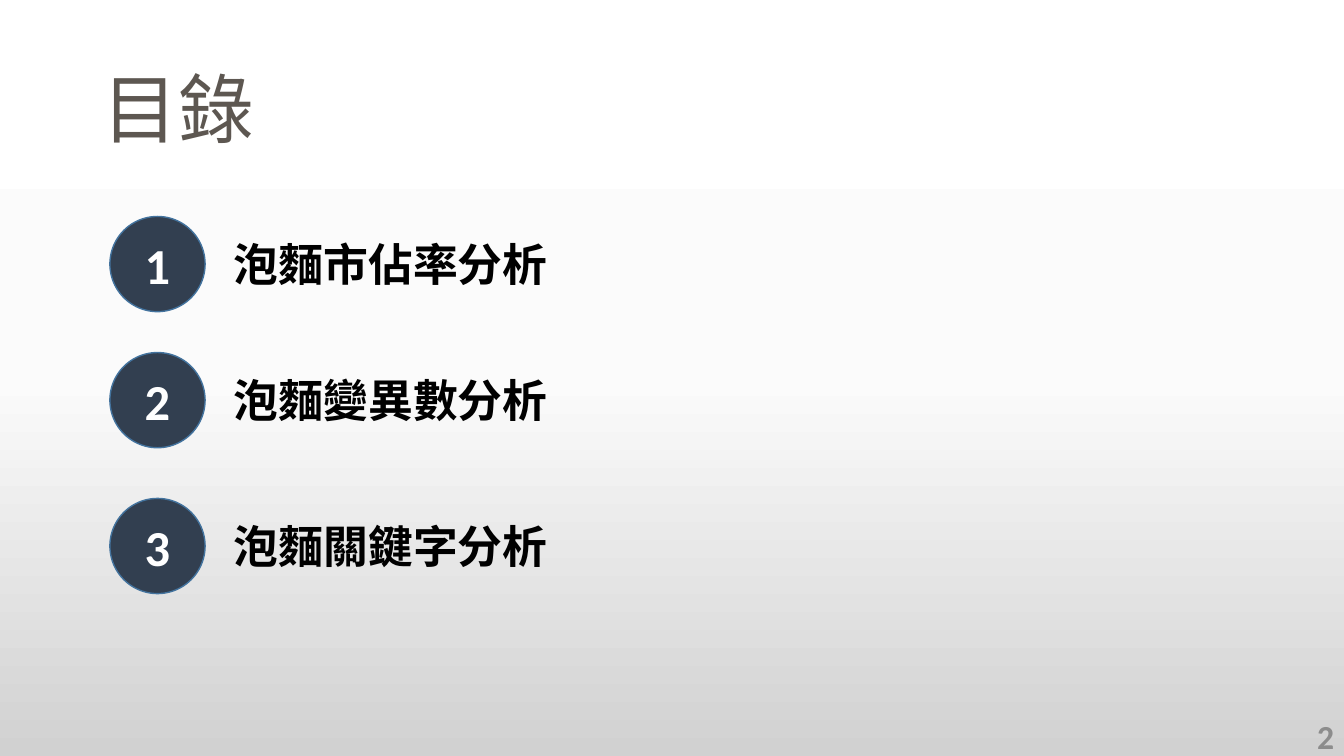
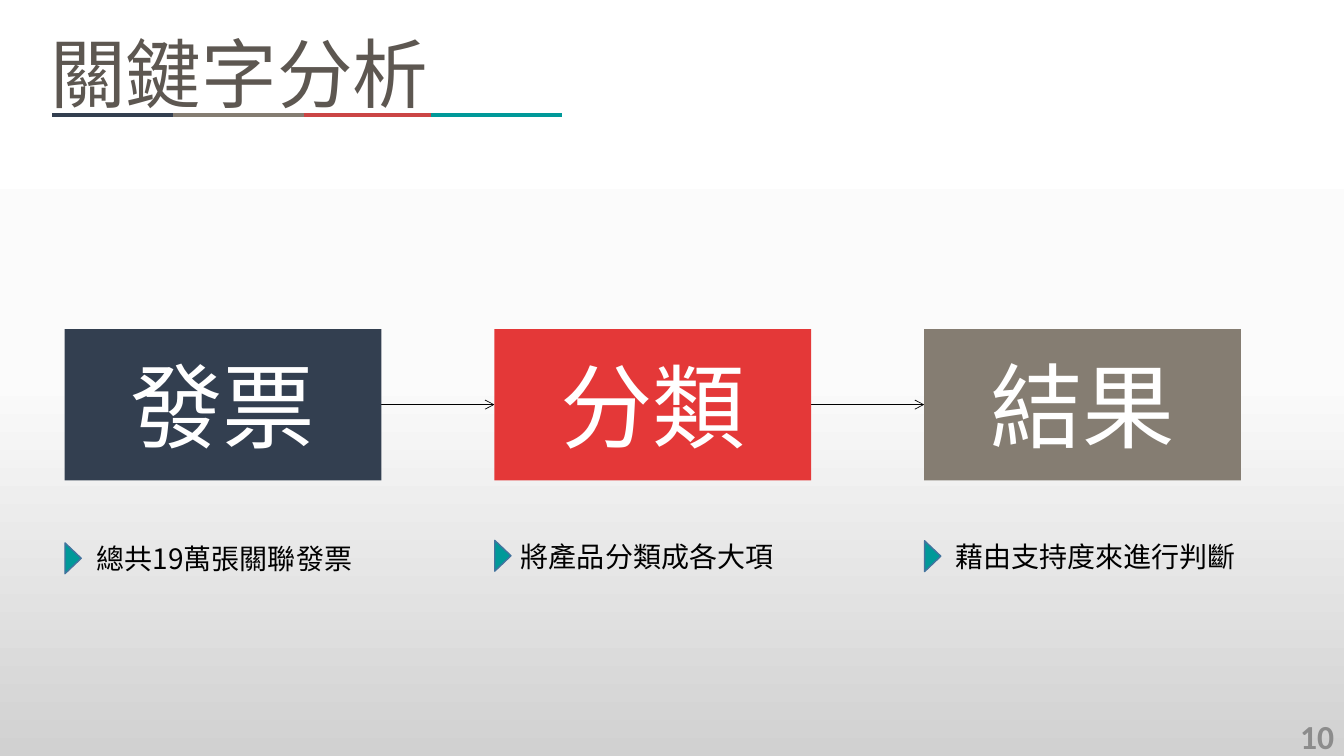
from copy import deepcopy
from pptx import Presentation
from pptx.dml.color import RGBColor
from pptx.enum.shapes import MSO_CONNECTOR, MSO_SHAPE
from pptx.enum.text import MSO_ANCHOR, PP_ALIGN
from pptx.oxml.ns import qn
from pptx.util import Pt
from lxml.etree import SubElement

HEX = {
    "white": "FFFFFF", "pale": "FBFBFB", "grey": "D1D1D1",
    "title": "5D5751", "page": "8C8C8C", "black": "000000",
    "disc": "323F50", "edge": "43739E", "navy": "333F50",
    "tan": "857D72", "rose": "CB4545", "red": "E43838", "teal": "009999",
}
RGB = {name: RGBColor.from_string(code) for name, code in HEX.items()}
SANS, TRAD, LATIN = "Noto Sans CJK SC", "Noto Sans CJK TC", "Calibri"
TITLE = dict(size=54, color="title")


def write(shape, text, size, color, font=SANS, bold=False,
          align=PP_ALIGN.LEFT, anchor=MSO_ANCHOR.TOP):
    """Set one paragraph, with the font for both Latin and East Asian text."""
    frame = shape.text_frame
    frame.word_wrap = True
    frame.vertical_anchor = anchor
    para = frame.paragraphs[0]
    para.text = text
    para.alignment = align
    para.font.size = Pt(size)
    para.font.bold = bold
    para.font.color.rgb = RGB[color]
    para.font.name = font
    props = para._p.pPr.find(qn("a:defRPr"))
    SubElement(props, qn("a:ea")).set("typeface", font)
    return para


def draw(slide, kind, box, fill, edge=None):
    shape = slide.shapes.add_shape(kind, *map(Pt, box))
    shape.shadow.inherit = False
    shape.fill.solid()
    shape.fill.fore_color.rgb = RGB[fill]
    if edge:
        shape.line.color.rgb = RGB[edge]
        shape.line.width = Pt(1)
    else:
        shape.line.fill.background()
    return shape


deck = Presentation()
deck.slide_width, deck.slide_height = Pt(960), Pt(540)
blank = deck.slide_layouts[6]
mid = dict(align=PP_ALIGN.CENTER, anchor=MSO_ANCHOR.MIDDLE)

# Shared background
master = deck.slide_master
back = master.background.fill
back.gradient()
back.gradient_angle = 270
stops = master.element.find(".//" + qn("a:gsLst"))
stops.append(deepcopy(stops[0]))
shades = [(0, "white"), (0.5, "pale"), (1, "grey")]
for stop, (place, shade) in zip(back.gradient_stops, shades):
    stop.position = place
    stop.color.rgb = RGB[shade]

# Contents
toc = deck.slides.add_slide(blank)
head = toc.shapes.add_textbox(Pt(66.2), Pt(28.8), Pt(828), Pt(104.4))
write(head, "目錄", **TITLE, anchor=MSO_ANCHOR.MIDDLE).line_spacing = 0.9
topics = [(154.6, "泡麵市佔率分析"), (251.8, "泡麵變異數分析"),
          (356, "泡麵關鍵字分析")]
for num, (top, topic) in enumerate(topics, 1):
    disc = draw(toc, MSO_SHAPE.OVAL, (78.5, top, 68, 68), "disc", "edge")
    write(disc, str(num), 36, "white", LATIN, True, **mid)
    label = toc.shapes.add_textbox(Pt(160), Pt(top + 11), Pt(446), Pt(46))
    write(label, topic, 32, "black", bold=True)

# Keyword analysis
flow = deck.slides.add_slide(blank)
left, top, wide, high, step = 46.2, 235.2, 226.2, 108, 307
rule, axis = 82.2, 289

# Each stroke: start, end, height, colour, width, arrow
strokes = [(x, x + 93.4, rule, color, 3, False) for x, color in
           [(37.2, "navy"), (123.6, "tan"), (216.8, "rose"), (308.2, "teal")]]
strokes += [(left + i * step + wide, left + (i + 1) * step, axis,
             "black", 0.5, True) for i in range(2)]
for start, end, y, color, width, arrow in strokes:
    line = flow.shapes.add_connector(
        MSO_CONNECTOR.STRAIGHT, Pt(start), Pt(y), Pt(end), Pt(y))
    line.line.color.rgb = RGB[color]
    line.line.width = Pt(width)
    if arrow:
        SubElement(line.line._get_or_add_ln(), qn("a:tailEnd")).set("type", "arrow")
    SubElement(line._element.spPr, qn("a:effectLst"))

head = flow.shapes.add_textbox(Pt(28.8), Pt(15.8), Pt(420), Pt(72.7))
write(head, "關鍵字分析", **TITLE)

# Each stage: name, fill, note, note left, note top, marker top
stages = [("發票", "navy", "總共19萬張關聯發票", 61.9, 383, 393),
          ("分類", "red", "將產品分類成各大項", 365, 381.6, 391.2),
          ("結果", "tan", "藉由支持度來進行判斷", 675.4, 381.6, 391.5)]
for i, (name, fill, note, x, y, tip) in enumerate(stages):
    edge = left + i * step
    card = draw(flow, MSO_SHAPE.RECTANGLE, (edge, top, wide, high), fill)
    write(card, name, 66, "white", **mid)
    label = flow.shapes.add_textbox(Pt(x), Pt(y), Pt(245), Pt(31.5))
    write(label, note, 20, "black", TRAD)
    mark = draw(flow, MSO_SHAPE.ISOSCELES_TRIANGLE,
                (edge - 5, tip, 22, 11.6), "teal", "edge")
    mark.rotation = 90

# Page numbers
for slide, page in [(toc, "2"), (flow, "10")]:
    foot = slide.shapes.add_textbox(Pt(744), Pt(511.2), Pt(216), Pt(28.8))
    write(foot, page, 24, "page", LATIN, True, PP_ALIGN.RIGHT, MSO_ANCHOR.MIDDLE)

deck.save("out.pptx")
